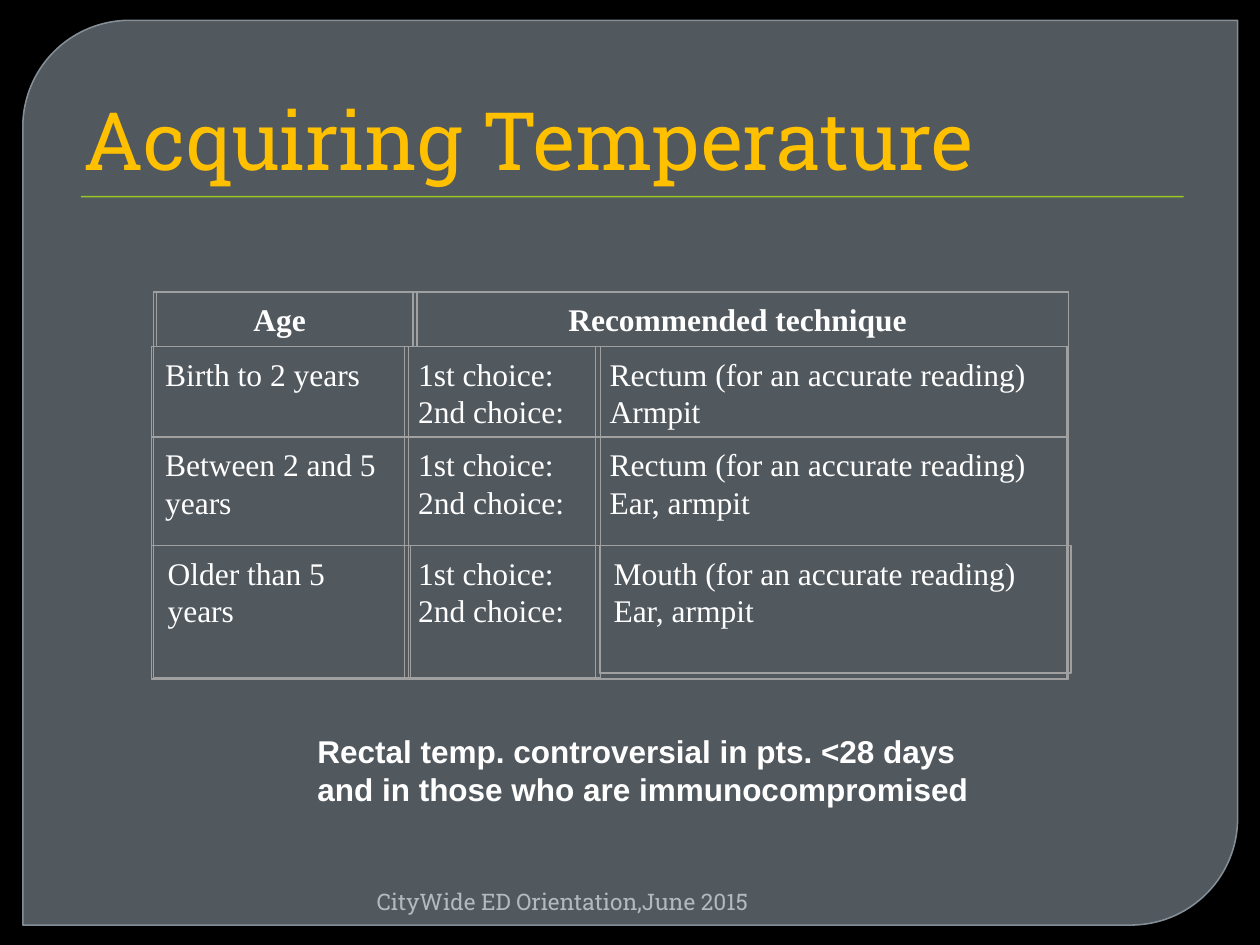
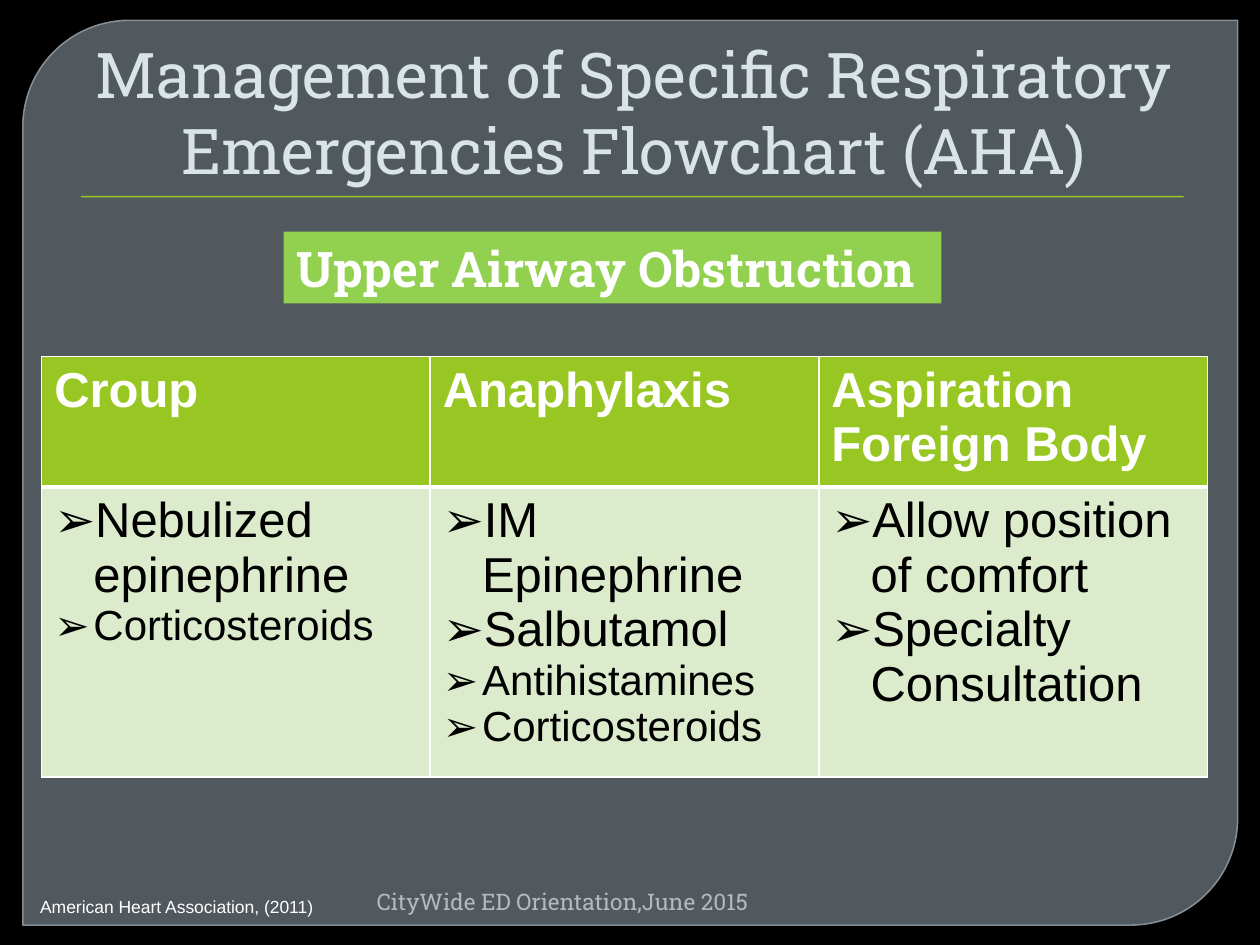
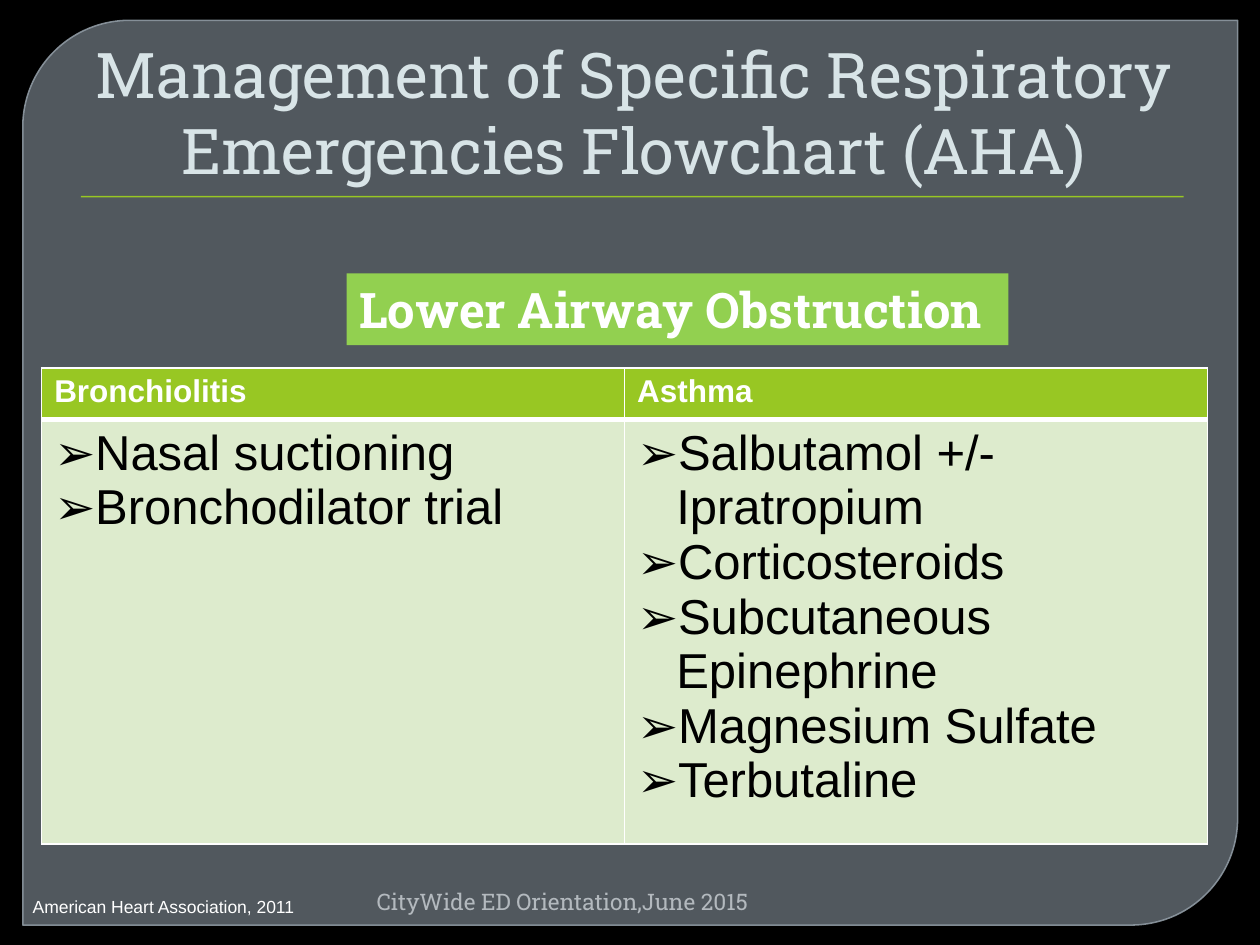
from lxml import etree
from pptx import Presentation
from pptx.dml.color import RGBColor
from pptx.enum.shapes import MSO_SHAPE as SHAPE
from pptx.enum.text import MSO_ANCHOR as ANCHOR, MSO_AUTO_SIZE as AUTOSIZE, PP_ALIGN as ALIGN
from pptx.oxml.ns import qn
from pptx.util import Cm, Pt

# Colours and fonts
BLACK = RGBColor(0x00, 0x00, 0x00)
WHITE = RGBColor(0xFF, 0xFF, 0xFF)
PANEL = RGBColor(0x7D, 0x88, 0x91)
PANEL_EDGE = RGBColor(0x91, 0x9C, 0xA5)
GREEN = RGBColor(0x98, 0xC7, 0x23)
BADGE = RGBColor(0x92, 0xD0, 0x50)
PALE_GREEN = RGBColor(0xDD, 0xEB, 0xCD)
AMBER = RGBColor(0xFF, 0xC0, 0x00)
TITLE_GREY = RGBColor(0xD8, 0xE4, 0xE7)
FOOTER_GREY = RGBColor(0xB3, 0xB9, 0xBE)
GRID = RGBColor(0xA0, 0xA0, 0xA0)
SLAB, SANS, SERIF = "Roboto Slab", "Arial", "Times New Roman"

# Content
FOOTER = "CityWide ED Orientation,June 2015"
FLOW_TITLE = "Management of Specific Respiratory Emergencies Flowchart (AHA)"

AGE_HEADER = ["Age ", "Recommended technique "]
AGE_ROWS = [
    ["Birth to 2 years", "1st choice:\v2nd choice:",
     "Rectum (for an accurate reading)\vArmpit"],
    ["Between 2 and 5 years", "1st choice:\v2nd choice:",
     "Rectum (for an accurate reading)\vEar, armpit"],
    ["Older than 5 years", "1st choice:\v2nd choice:",
     "Mouth (for an accurate reading)\vEar, armpit"],
]
RECTAL_NOTE = ("Rectal temp. controversial in pts. <28 days\n"
               "and in those who are immunocompromised")

# Each treatment is (text, size)
FLOWCHARTS = [
    {"badge": "Upper Airway Obstruction", "badge_at": (5.72, 4.67, 13.26, 1.45),
     "top": 7.19, "heights": (2.62, 5.84), "head_size": 28,
     "columns": {
         "Croup": [("Nebulized epinephrine", 28), ("Corticosteroids", 24)],
         "Anaphylaxis": [("IM Epinephrine", 28), ("Salbutamol", 28),
                         ("Antihistamines", 24), ("Corticosteroids", 24)],
         "Aspiration Foreign Body": [("Allow position of comfort", 28),
                                     ("Specialty Consultation", 28)]},
     "source": "American Heart Association, (2011)",
     "source_at": (0.56, 17.93, 6.12, 0.69)},
    {"badge": "Lower Airway Obstruction", "badge_at": (6.99, 5.51, 13.34, 1.45),
     "top": 7.42, "heights": (1.04, 8.53), "head_size": 18,
     "columns": {
         "Bronchiolitis": [("Nasal suctioning", 28), ("Bronchodilator trial", 28)],
         "Asthma": [("Salbutamol +/- Ipratropium", 28), ("Corticosteroids", 28),
                    ("Subcutaneous Epinephrine", 28), ("Magnesium Sulfate", 28),
                    ("Terbutaline", 28)]},
     "source": "American Heart Association, 2011",
     "source_at": (0.41, 17.93, 5.99, 0.69)},
]

# Layout in centimetres
TABLE_LEFT, TABLE_WIDTH = 0.84, 23.5
AGE_TOP, AGE_HEAD_HEIGHT = 5.89, 1.09
AGE_HEAD_COLS = [(3.15, 5.18), (8.41, 13.13)]
AGE_COLS = [(3.05, 5.18), (8.15, 3.96), (12.01, 9.5)]
AGE_SPANS = [(6.99, 4.01), (8.81, 4.88), (11.0, 2.67)]
LAST_ROW_SHIFT = (0.05, 0, 0.08)
AGE_FRAME = (3.1, AGE_TOP, 18.44, 7.8)


def cm(*values):
    return [Cm(v) for v in values]


def set_alpha(fill_parent, percent):
    clr = fill_parent.find(qn("a:solidFill"))[0]
    etree.SubElement(clr, qn("a:alpha")).set("val", str(percent * 1000))


def format_text(p, size, color, font, bold=False, align=ALIGN.LEFT):
    p.alignment = align
    for r in p.runs:
        r.font.size, r.font.name, r.font.bold = Pt(size), font, bold
        r.font.color.rgb = color


def fill_text(tf, text, *style, **options):
    tf.text = text
    for p in tf.paragraphs:
        format_text(p, *style, **options)


def add_text(s, at, text, *style, wrap=False, **options):
    tf = s.shapes.add_textbox(*cm(*at)).text_frame
    tf.word_wrap = wrap
    fill_text(tf, text, *style, **options)


def add_rect(shapes, at, fill=None, line=None, width=0, kind=SHAPE.RECTANGLE):
    sp = shapes.add_shape(kind, *cm(*at))
    sp.shadow.inherit = False
    if fill is None:
        sp.fill.background()
    else:
        sp.fill.solid()
        sp.fill.fore_color.rgb = fill
    if line is None:
        sp.line.fill.background()
    else:
        sp.line.color.rgb = line
        sp.line.width = Pt(width)
    return sp


def style_layout(layout, s):
    """Give the layout its background, panel, rule and title place."""
    layout.background.fill.solid()
    layout.background.fill.fore_color.rgb = BLACK
    panel = add_rect(s.shapes, (0.46, 0.41, 24.49, 18.24), PANEL, PANEL_EDGE, 0.87,
                     SHAPE.ROUND_2_DIAG_RECTANGLE)
    panel.adjustments[0], panel.adjustments[1] = 0.118, 0
    set_alpha(panel.element.spPr, 65)
    set_alpha(panel.element.spPr.find(qn("a:ln")), 88)
    rule = add_rect(s.shapes, (1.63, 3.95, 22.23, 0.03), GREEN)
    title = layout.placeholders[0]
    for sp in (panel, rule):
        title.element.addprevious(sp.element)
    title.left, title.top, title.width, title.height = cm(1.27, 0.71, 22.86, 3.18)


def finish_slide(s, title, size, color, align):
    tf = s.shapes.title.text_frame
    tf.auto_size, tf.vertical_anchor = AUTOSIZE.NONE, ANCHOR.BOTTOM
    fill_text(tf, title, size, color, SLAB, align=align)
    tf.paragraphs[0]._p.get_or_add_pPr().set("marL", str(Cm(0.15)))
    add_text(s, (3.61, 17.78, 11.71, 0.76), FOOTER, 13, FOOTER_GREY, SLAB,
             wrap=True, align=ALIGN.RIGHT)


def add_age_cell(shapes, at, text, **options):
    sp = add_rect(shapes, at, line=GRID)
    tf = sp.text_frame
    tf.word_wrap, tf.vertical_anchor = True, ANCHOR.TOP
    tf.margin_left, tf.margin_right, tf.margin_top = cm(0.28, 0.33, 0.16)
    fill_text(tf, text, 18, WHITE, SERIF, **options)


def add_age_grid(s):
    shapes = s.shapes.add_group_shape().shapes
    for (x, w), text in zip(AGE_HEAD_COLS, AGE_HEADER):
        add_age_cell(shapes, (x, AGE_TOP, w, AGE_HEAD_HEIGHT), text,
                     bold=True, align=ALIGN.CENTER)
    for row, (y, h) in zip(AGE_ROWS, AGE_SPANS):
        last = row is AGE_ROWS[-1]
        for (x, w), shift, text in zip(AGE_COLS, LAST_ROW_SHIFT, row):
            trim = 0.1 if last and text == row[-1] else 0
            add_age_cell(shapes, (x + shift * last, y, w, h - trim), text)
    add_rect(shapes, AGE_FRAME, line=GRID, width=0.75)


def style_cell(cell, fill, top, bottom):
    cell.fill.solid()
    cell.fill.fore_color.rgb = fill
    tcPr = cell._tc.get_or_add_tcPr()
    for i, (side, width) in enumerate([("L", 1), ("R", 1), ("T", top), ("B", bottom)]):
        ln = etree.Element(qn("a:ln" + side), w=str(Pt(width)))
        solid = etree.SubElement(ln, qn("a:solidFill"))
        etree.SubElement(solid, qn("a:srgbClr"), val=str(WHITE))
        tcPr.insert(i, ln)


def add_bullet(p):
    pPr = p._p.get_or_add_pPr()
    pPr.set("marL", str(Cm(0.79)))
    pPr.set("indent", str(Cm(-0.79)))
    etree.SubElement(pPr, qn("a:buFont"), typeface=SANS)
    etree.SubElement(pPr, qn("a:buChar"), char="➢")


def add_treatments(s, chart):
    columns = chart["columns"]
    heights = chart["heights"]
    table = s.shapes.add_table(2, len(columns), *cm(
        TABLE_LEFT, chart["top"], TABLE_WIDTH, sum(heights))).table
    table.horz_banding = False
    for row, h in zip(table.rows, heights):
        row.height = Cm(h)
    for c, (heading, treatments) in enumerate(columns.items()):
        table.columns[c].width = Cm(TABLE_WIDTH / len(columns))
        head, body = table.cell(0, c), table.cell(1, c)
        style_cell(head, GREEN, 1, 3)
        style_cell(body, PALE_GREEN, 3, 1)
        fill_text(head.text_frame, heading, chart["head_size"], WHITE, SANS, bold=True)
        body.text_frame.text = "\n".join(text for text, _ in treatments)
        for p, (_, size) in zip(body.text_frame.paragraphs, treatments):
            add_bullet(p)
            format_text(p, size, BLACK, SANS)


def main():
    prs = Presentation()
    prs.slide_width, prs.slide_height = cm(25.4, 19.05)
    layout = prs.slide_layouts[5]

    # Temperature slide
    s = prs.slides.add_slide(layout)
    style_layout(layout, s)
    finish_slide(s, "Acquiring Temperature", 46, AMBER, ALIGN.LEFT)
    add_age_grid(s)
    add_text(s, (6.15, 14.63, 13.77, 1.8), RECTAL_NOTE, 18, WHITE, SANS, bold=True)

    # Flowchart slides
    for chart in FLOWCHARTS:
        s = prs.slides.add_slide(layout)
        finish_slide(s, FLOW_TITLE, 36, TITLE_GREY, ALIGN.CENTER)
        badge = add_rect(s.shapes, chart["badge_at"], BADGE)
        fill_text(badge.text_frame, chart["badge"], 28, WHITE, SLAB, bold=True)
        add_treatments(s, chart)
        add_text(s, chart["source_at"], chart["source"], 10, WHITE, SANS)

    prs.save("out.pptx")


if __name__ == "__main__":
    main()
